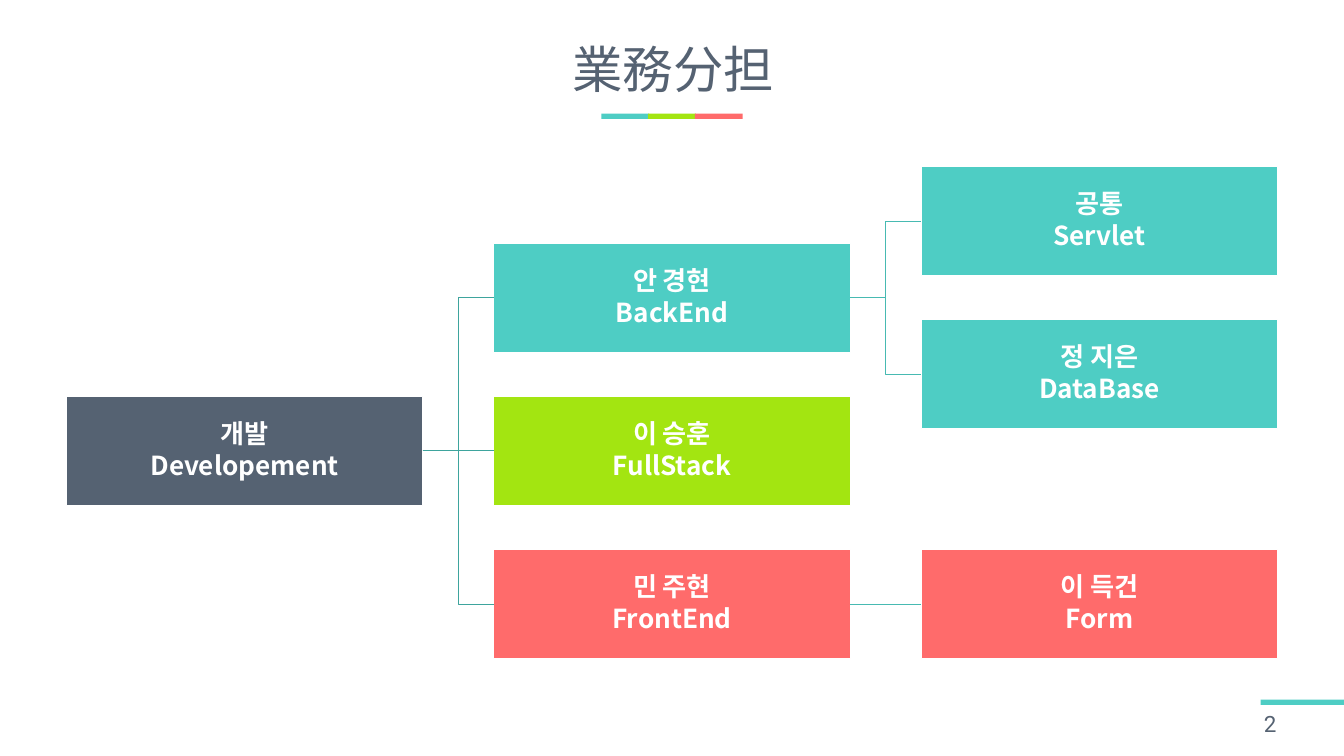
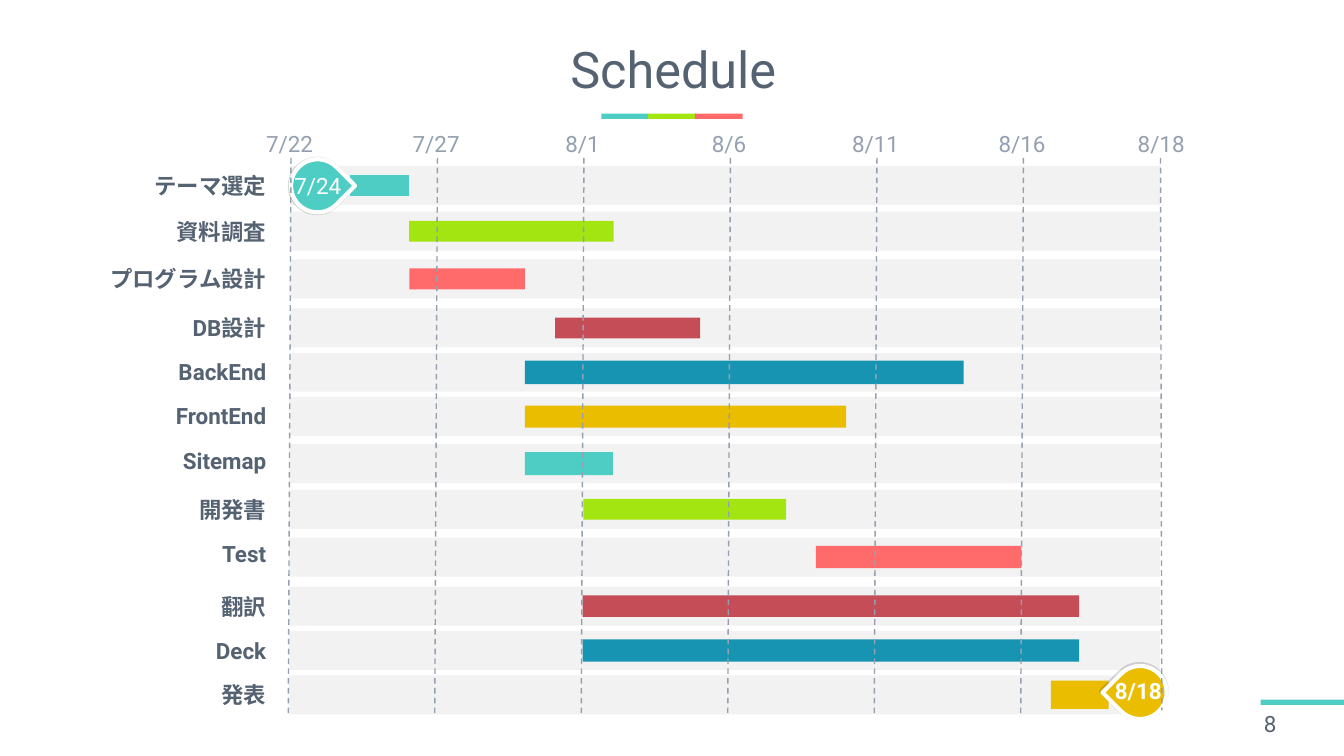
"""Build the team chart and the schedule slide."""
from dataclasses import dataclass
from typing import Optional

from lxml import etree
from pptx import Presentation
from pptx.dml.color import RGBColor
from pptx.enum.dml import MSO_LINE
from pptx.enum.shapes import MSO_CONNECTOR, MSO_SHAPE
from pptx.enum.text import MSO_ANCHOR, MSO_AUTO_SIZE, PP_ALIGN
from pptx.oxml.ns import qn
from pptx.util import Inches, Pt

RECTANGLE, TEARDROP = MSO_SHAPE.RECTANGLE, MSO_SHAPE.TEAR
STRAIGHT, ELBOW = MSO_CONNECTOR.STRAIGHT, MSO_CONNECTOR.ELBOW
LEFT, CENTER, RIGHT = PP_ALIGN.LEFT, PP_ALIGN.CENTER, PP_ALIGN.RIGHT
TOP, MIDDLE = MSO_ANCHOR.TOP, MSO_ANCHOR.MIDDLE
DASH = MSO_LINE.DASH
RIGHT_SIDE, LEFT_SIDE = 3, 1
TITLE_ONLY = 5

SLATE = RGBColor(0x55, 0x62, 0x72)
TEAL = RGBColor(0x4E, 0xCD, 0xC4)
LIME = RGBColor(0xA3, 0xE5, 0x11)
CORAL = RGBColor(0xFF, 0x6B, 0x6B)
CRIMSON = RGBColor(0xC5, 0x4D, 0x57)
BLUE = RGBColor(0x16, 0x94, 0xB2)
GOLD = RGBColor(0xEA, 0xBD, 0x00)
GRAY = RGBColor(0x94, 0xA0, 0xAF)
PALE = RGBColor(0xF2, 0xF2, 0xF2)
WHITE = RGBColor(0xFF, 0xFF, 0xFF)
LINK_DARK = RGBColor(0x3E, 0xA4, 0x9D)
LINK_LIGHT = RGBColor(0x47, 0xBA, 0xB2)

LATIN_FONT = "Roboto"
ASIAN_FONT = "Noto Sans CJK JP"


@dataclass(frozen=True)
class TextStyle:
    size: float = 24
    color: RGBColor = SLATE
    bold: bool = False
    align: PP_ALIGN = LEFT
    font: str = LATIN_FONT
    line_spacing: Optional[float] = None
    space_after: float = 0


@dataclass(frozen=True)
class Member:
    name: str
    role: str
    column: int
    top: float
    color: RGBColor
    leader: Optional[str] = None


@dataclass(frozen=True)
class Task:
    name: str
    start: float
    length: float
    color: RGBColor
    height: float = 0.31
    label_offset: float = 0.04
    label_width: float = 2.26


@dataclass(frozen=True)
class Tick:
    date: str
    center: float
    lean: float = 0.02
    bottom: float = 10.63


@dataclass(frozen=True)
class Milestone:
    date: str
    left: float
    top: float
    rotation: float
    color: RGBColor
    text_left: float
    text_top: float
    bold: bool


TITLE_STYLE = TextStyle(54, align=CENTER, line_spacing=0.9)
PAGE_STYLE = TextStyle()
MEMBER_STYLE = TextStyle(28, WHITE, True, CENTER, ASIAN_FONT, 0.9, 4)
TASK_STYLE = TextStyle(bold=True, align=RIGHT)
TICK_STYLE = TextStyle(color=GRAY, align=CENTER)

COLUMN_LEFT, COLUMN_STEP = 0.99, 6.36
MEMBER_WIDTH, MEMBER_HEIGHT = 5.3, 1.62
MEMBERS = [
    Member("개발", "Developement", 0, 5.9, SLATE),
    Member("안 경현", "BackEnd", 1, 3.62, TEAL, "Developement"),
    Member("이 승훈", "FullStack", 1, 5.9, LIME, "Developement"),
    Member("민 주현", "FrontEnd", 1, 8.18, CORAL, "Developement"),
    Member("공통", "Servlet", 2, 2.48, TEAL, "BackEnd"),
    Member("정 지은", "DataBase", 2, 4.76, TEAL, "BackEnd"),
    Member("이 득건", "Form", 2, 8.18, CORAL, "FrontEnd"),
]

ROW_WIDTH, ROW_HEIGHT, LABEL_RIGHT = 12.96, 0.58, 4.06
HALF_TOPS = [2.47, 3.15, 3.86, 4.59, 5.25, 5.91]
ROWS = [(4.31, top) for top in HALF_TOPS] + [(4.3, top + 4.14) for top in HALF_TOPS]
TASKS = [
    Task("テーマ選定", 5.21, 0.88, TEAL),
    Task("資料調査", 6.09, 3.04, LIME),
    Task("プログラム設計", 6.09, 1.72, CORAL, label_width=2.95),
    Task("DB設計", 8.26, 2.16, CRIMSON),
    Task("BackEnd", 7.81, 6.53, BLUE, 0.35, 0.03),
    Task("FrontEnd", 7.81, 4.78, GOLD, 0.33, 0.03),
    Task("Sitemap", 7.81, 1.31, TEAL, 0.34, 0),
    Task("開発書", 8.68, 3.02, LIME),
    Task("Test", 12.14, 3.06, CORAL, 0.33, -0.01),
    Task("翻訳", 8.67, 7.39, CRIMSON, 0.32),
    Task("Deck", 8.67, 7.39, BLUE, 0.33),
    Task("発表", 15.64, 0.86, GOLD, 0.42, 0.03),
]
FIVE_DAY_DATES = ["7/22", "7/27", "8/1", "8/6", "8/11", "8/16"]
TICKS = [Tick(date, 4.31 + 2.18 * index) for index, date in enumerate(FIVE_DAY_DATES)]
TICKS.append(Tick("8/18", 17.28, -0.01, 10.57))
MILESTONES = [
    Milestone("7/24", 4.33, 2.37, 45, TEAL, 4.28, 2.51, False),
    Milestone("8/18", 16.57, 9.91, 225, GOLD, 16.49, 10.03, True),
]


def write_text(text_frame, text: str, style: TextStyle) -> None:
    """Fill a text frame and format every paragraph and run."""
    text_frame.text = text
    for paragraph in text_frame.paragraphs:
        paragraph.alignment = style.align
        paragraph.space_after = Pt(style.space_after)
        if style.line_spacing:
            paragraph.line_spacing = style.line_spacing
        for run in paragraph.runs:
            run.font.name = style.font
            run.font.size = Pt(style.size)
            run.font.bold = style.bold
            run.font.color.rgb = style.color
            properties = run._r.get_or_add_rPr()
            etree.SubElement(properties, qn("a:ea"), typeface=ASIAN_FONT)


def add_label(slide, text: str, left: float, top: float, width: float, height: float,
              style: TextStyle, anchor=MIDDLE, wrap: bool = True) -> None:
    """Add a text box."""
    text_frame = slide.shapes.add_textbox(
        Inches(left), Inches(top), Inches(width), Inches(height)).text_frame
    text_frame.word_wrap = wrap
    text_frame.vertical_anchor = anchor
    write_text(text_frame, text, style)


def add_block(slide, left: float, top: float, width: float, height: float,
              color: RGBColor, kind=RECTANGLE, outline: float = 0):
    """Add a filled shape, with a white outline if a width is given."""
    shape = slide.shapes.add_shape(
        kind, Inches(left), Inches(top), Inches(width), Inches(height))
    shape.shadow.inherit = False
    shape.fill.solid()
    shape.fill.fore_color.rgb = color
    if outline:
        shape.line.color.rgb = WHITE
        shape.line.width = Pt(outline)
    else:
        shape.line.fill.background()
    return shape


def add_line(slide, kind, start: tuple[float, float], end: tuple[float, float],
             color: RGBColor, width: float):
    """Add a connector without a shadow."""
    connector = slide.shapes.add_connector(
        kind, *(Inches(value) for value in (*start, *end)))
    connector.line.color.rgb = color
    connector.line.width = Pt(width)
    etree.SubElement(connector._element.spPr, qn("a:effectLst"))
    return connector


def add_titled_slide(presentation, title: str, page: str):
    """Add a slide with the shared title, colour bands and page number."""
    slide = presentation.slides.add_slide(presentation.slide_layouts[TITLE_ONLY])
    for index, color in enumerate((TEAL, LIME, CORAL)):
        add_block(slide, 8.95 + 0.695 * index, 1.69, 0.71, 0.08, color)
    add_block(slide, 18.76, 10.41, 1.24, 0.08, TEAL)
    placeholder = slide.shapes.title
    placeholder.left, placeholder.top = Inches(0.54), Inches(0.38)
    placeholder.width, placeholder.height = Inches(18.96), Inches(1.4)
    placeholder.text_frame.auto_size = MSO_AUTO_SIZE.NONE
    placeholder.text_frame.vertical_anchor = MIDDLE
    write_text(placeholder.text_frame, title, TITLE_STYLE)
    add_label(slide, page, 18.71, 10.5, 1.29, 0.53, PAGE_STYLE)
    return slide


def add_member(slide, member: Member):
    """Add the box of a team member."""
    box = add_block(slide, COLUMN_LEFT + COLUMN_STEP * member.column, member.top,
                    MEMBER_WIDTH, MEMBER_HEIGHT, member.color, outline=1)
    text_frame = box.text_frame
    text_frame.margin_left = text_frame.margin_right = Inches(0.02)
    text_frame.margin_top = text_frame.margin_bottom = Inches(0.02)
    text_frame.vertical_anchor = MIDDLE
    write_text(text_frame, f"{member.name}\n{member.role}", MEMBER_STYLE)
    return box


def build_team(presentation) -> None:
    """Build the team chart."""
    slide = add_titled_slide(presentation, "業務分担", "2")
    boxes = {member.role: add_member(slide, member) for member in MEMBERS}
    for member in MEMBERS:
        if member.leader is None:
            continue
        leader, box = boxes[member.leader], boxes[member.role]
        kind = STRAIGHT if leader.top == box.top else ELBOW
        color = LINK_DARK if member.column == 1 else LINK_LIGHT
        link = add_line(slide, kind, (0, 0), (0, 0), color, 1)
        link.begin_connect(leader, RIGHT_SIDE)
        link.end_connect(box, LEFT_SIDE)


def add_task(slide, task: Task, top: float) -> None:
    """Add the label and the bar of a task."""
    add_label(slide, task.name, LABEL_RIGHT - task.label_width, top + task.label_offset,
              task.label_width, 0.5, TASK_STYLE)
    add_block(slide, task.start, top + (ROW_HEIGHT - task.height) / 2,
              task.length, task.height, task.color)


def add_milestone(slide, milestone: Milestone) -> None:
    """Add a drop-shaped date marker with a faint rim."""
    drop = add_block(slide, milestone.left, milestone.top, 0.79, 0.79,
                     milestone.color, TEARDROP, 4.5)
    drop.rotation = milestone.rotation
    effects = drop._element.spPr.find(qn("a:effectLst"))
    shadow = etree.SubElement(effects, qn("a:outerShdw"), sx="102000", sy="102000",
                              algn="ctr", rotWithShape="0")
    black = etree.SubElement(shadow, qn("a:srgbClr"), val="000000")
    etree.SubElement(black, qn("a:alpha"), val="15000")
    style = TextStyle(color=WHITE, bold=milestone.bold, align=CENTER)
    add_label(slide, milestone.date, milestone.text_left, milestone.text_top,
              0.9, 0.5, style, TOP, False)


def add_tick(slide, tick: Tick) -> None:
    """Add a date with its dashed line."""
    line = add_line(slide, STRAIGHT, (tick.center + tick.lean, 2.35),
                    (tick.center - tick.lean, tick.bottom), GRAY, 1.5)
    line.line.dash_style = DASH
    width = 0.9 if len(tick.date) > 3 else 0.71
    add_label(slide, tick.date, tick.center - width / 2, 1.88, width, 0.48,
              TICK_STYLE, TOP, False)


def build_schedule(presentation) -> None:
    """Build the schedule."""
    slide = add_titled_slide(presentation, "Schedule", "8")
    for left, top in ROWS:
        add_block(slide, left, top, ROW_WIDTH, ROW_HEIGHT, PALE)
    for task, (_, top) in zip(TASKS, ROWS):
        add_task(slide, task, top)
    for milestone in MILESTONES:
        add_milestone(slide, milestone)
    for tick in TICKS:
        add_tick(slide, tick)


def main() -> None:
    """Build and save the presentation."""
    presentation = Presentation()
    presentation.slide_width = Inches(20)
    presentation.slide_height = Inches(11.25)
    build_team(presentation)
    build_schedule(presentation)
    presentation.save("out.pptx")


if __name__ == "__main__":
    main()
